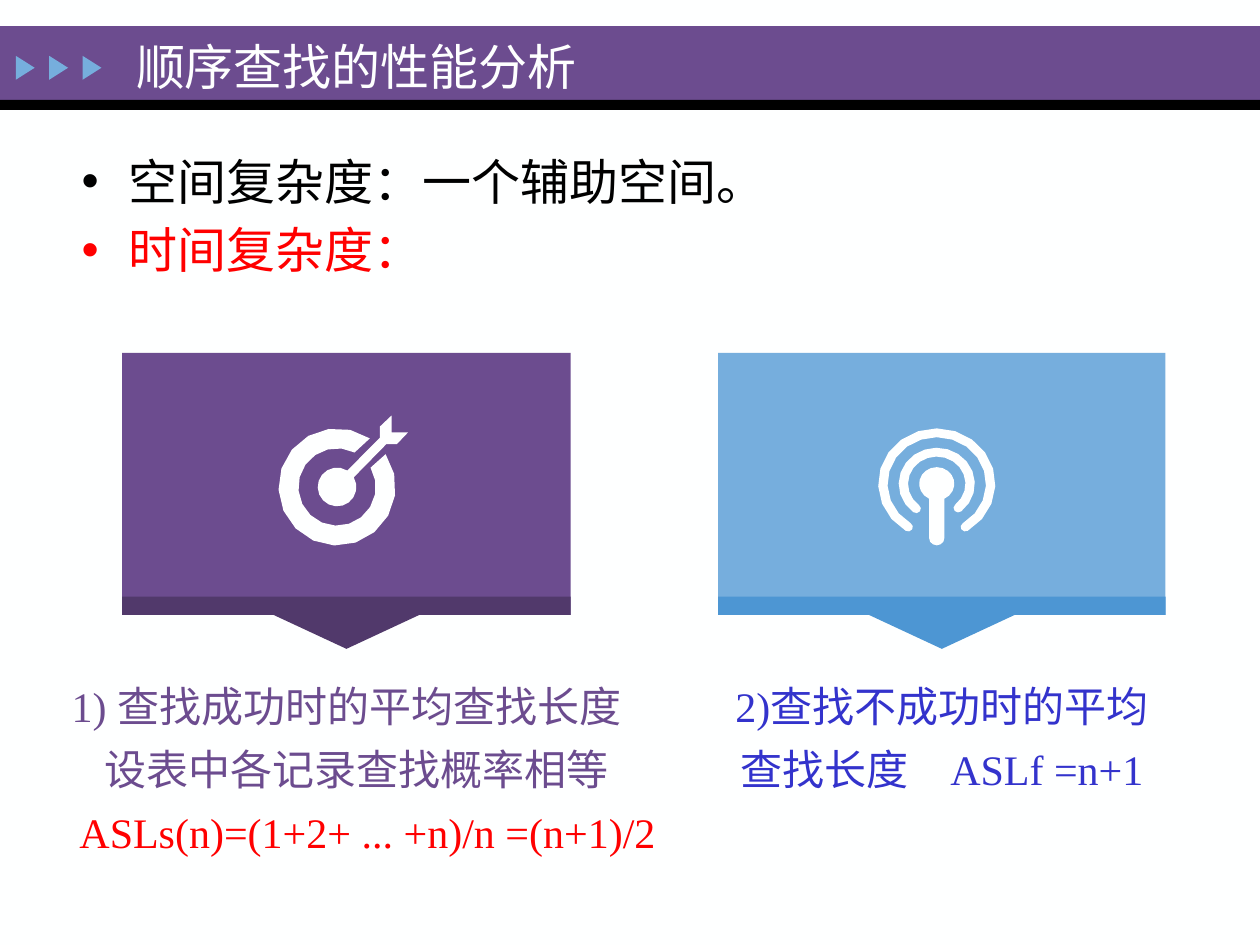
from collections import namedtuple
from math import cos, radians, sin

from lxml.etree import SubElement
from pptx import Presentation
from pptx.dml.color import RGBColor
from pptx.enum.shapes import MSO_SHAPE as SHAPE
from pptx.enum.text import MSO_ANCHOR as ANCHOR, MSO_AUTO_SIZE as FIT, PP_ALIGN as ALIGN
from pptx.oxml.ns import qn
from pptx.util import Inches, Pt


class Theme:
    font = "Times New Roman"
    head, label = 28, 24
    paper, ink, red = "FEFFFF", "000000", "FF0000"
    purple, purple_dark = "6C4C8F", "51396B"
    sky, sky_dark, blue = "76AEDD", "4D96D3", "3333CC"


# The slide is a grid of 100 columns by 75 rows
COLS, ROWS = 100, 75
FINE = 1000  # outline steps in one grid cell
Box = namedtuple("Box", "x y w h")


def cell(n):
    return Inches(n / 10)


def place(box):
    return [cell(n) for n in box]


def paint(sp, color):
    sp.shadow.inherit = False
    sp.fill.solid()
    sp.fill.fore_color.rgb = RGBColor.from_string(color)
    sp.line.fill.background()


def block(sl, kind, box, color):
    sp = sl.shapes.add_shape(kind, *place(box))
    paint(sp, color)
    return sp


def outline(sl, contours, color):
    """Draw closed contours, given in grid units, as one shape."""
    (start, *rest), *others = [[(x * FINE, y * FINE) for x, y in c] for c in contours]
    fb = sl.shapes.build_freeform(*start, scale=cell(1) / FINE)
    fb.add_line_segments(rest, close=True)
    for first, *points in others:
        fb.move_to(*first)
        fb.add_line_segments(points, close=True)
    paint(fb.convert_to_shape(), color)


def write(tf, text, *, size, color, first=False, align=ALIGN.LEFT, bullet=None,
          indent=0, hang=0, before=0, spacing=None):
    """Write one paragraph."""
    p = tf.paragraphs[0] if first else tf.add_paragraph()
    p.alignment = align
    if before and not first:
        p.space_before = Pt(before)
    if spacing:
        p.line_spacing = spacing
    pPr = p._p.get_or_add_pPr()
    if indent:
        pPr.set("marL", str(int(indent)))
        pPr.set("indent", str(-int(hang)))
    if bullet:
        SubElement(pPr, qn("a:buFont"), typeface="Arial")
        SubElement(pPr, qn("a:buChar"), char=bullet)
    r = p.add_run()
    r.text = text
    r.font.name, r.font.size = Theme.font, Pt(size)
    r.font.color.rgb = RGBColor.from_string(color)


# Icon geometry: unit circle around the origin, y pointing down
def arc(radius, start, end, cx=0, cy=0, steps=16):
    angles = [radians(start + (end - start) * i / steps) for i in range(steps + 1)]
    return [(cx + radius * cos(a), cy + radius * sin(a)) for a in angles]


def round_band(outer, inner, start, end):
    """An arc-shaped band with round ends."""
    mid, cap = (outer + inner) / 2, (outer - inner) / 2

    def tip(angle, turn):
        a = radians(angle)
        return arc(cap, angle + turn, angle + turn + 180, mid * cos(a), mid * sin(a), 4)

    return arc(outer, start, end) + tip(end, 0) + arc(inner, end, start) + tip(start, 180)


def target():
    ring = arc(1, -34, 304) + arc(0.66, 297, -30)
    dart = arc(0.33, -30, 302) + [(0.73, -0.84), (0.73, -1.03), (0.93, -1.22),
                                  (0.93, -0.93), (1.21, -0.93), (1.02, -0.73),
                                  (0.84, -0.73)]
    return [ring, dart]


def antenna():
    stem = 0.13
    mast = arc(0.3, 116, 424) + arc(stem, 0, 180, cy=0.98, steps=6)
    return [round_band(0.65, 0.49, 128, 410), mast, round_band(1, 0.84, 122, 418)]


def icon(sl, box, contours, color):
    rx, ry = box.w / 2, box.h / 2
    outline(sl, [[(box.x + rx + x * rx, box.y + ry + y * ry) for x, y in c]
                 for c in contours], color)


# Regions
def header(sl, box, title):
    band = Box(box.x, box.y, box.w, 5.85)
    for area, color in ((band, Theme.purple),
                        (Box(box.x, box.y + band.h, box.w, box.h - band.h), Theme.ink)):
        block(sl, SHAPE.RECTANGLE, area, color)
    for i in range(3):
        arrow = Box(box.x + 1.05 + 2.65 * i, box.y + 2.55, 1.9, 1.5)
        block(sl, SHAPE.ISOSCELES_TRIANGLE, arrow, Theme.sky).rotation = 90
    sp = sl.shapes.title
    sp.left, sp.top, sp.width, sp.height = place(Box(box.x + 9.8, box.y + 0.37, 48.8, 5.6))
    sl.shapes._spTree.append(sp._element)  # in front of the band
    tf = sp.text_frame
    tf.vertical_anchor = ANCHOR.MIDDLE
    write(tf, title, size=Theme.head, color=Theme.paper, first=True)


def bullets(sl, box, items):
    tf = sl.shapes.add_textbox(*place(box)).text_frame
    tf.word_wrap = True
    for i, (text, color) in enumerate(items):
        write(tf, text, size=Theme.head, color=color, first=i == 0, bullet="•",
              indent=cell(3.75), hang=cell(3.75), before=0.2 * Theme.head)


def card(sl, box, fill, dark, mark, mark_box, lines, overhang=0):
    """A card with its caption, which may reach past both sides by overhang."""
    block(sl, SHAPE.RECTANGLE, box, fill)
    # Dark foot with its pointer
    right, bottom, mid = box.x + box.w, box.y + box.h, box.x + box.w / 2
    half, drop, foot = 5.8, 2.7, bottom - 1.45
    outline(sl, [[(box.x, foot), (right, foot), (right, bottom), (mid + half, bottom),
                  (mid, bottom + drop), (mid - half, bottom), (box.x, bottom)]], dark)
    icon(sl, Box(box.x + mark_box.x, box.y + mark_box.y, mark_box.w, mark_box.h),
         mark, Theme.paper)
    # Caption
    caption = Box(box.x - overhang, bottom + 4.2, box.w + 2 * overhang, 5.5 * len(lines))
    tf = sl.shapes.add_textbox(*place(caption)).text_frame
    tf.margin_left = tf.margin_right = tf.margin_top = tf.margin_bottom = 0
    tf.word_wrap = True
    tf.auto_size = FIT.NONE
    for i, (text, color, indent) in enumerate(lines):
        write(tf, text, size=Theme.label, color=color, first=i == 0,
              align=ALIGN.CENTER, indent=Pt(indent), spacing=1.25)


def main():
    prs = Presentation()
    prs.slide_width, prs.slide_height = cell(COLS), cell(ROWS)
    sl = prs.slides.add_slide(prs.slide_layouts[5])
    sl.background.fill.solid()
    sl.background.fill.fore_color.rgb = RGBColor.from_string(Theme.paper)

    header(sl, Box(0, 2.08, COLS, 6.65), "顺序查找的性能分析")
    bullets(sl, Box(5.5, 11.5, COLS - 5.5, 12.6),
            [("空间复杂度：一个辅助空间。", Theme.ink), ("时间复杂度：", Theme.red)])
    card(sl, Box(9.7, 28, 35.6, 20.8), Theme.purple, Theme.purple_dark,
         target(), Box(12.4, 6, 9.3, 9.3),
         [("1) 查找成功时的平均查找长度", Theme.purple, 0),
          ("设表中各记录查找概率相等", Theme.purple, 12),
          ("ASLs(n)=(1+2+ ... +n)/n =(n+1)/2", Theme.red, 24)], overhang=7.5)
    card(sl, Box(57, 28, 35.5, 20.8), Theme.sky, Theme.sky_dark,
         antenna(), Box(12.7, 6, 9.3, 8.8),
         [("2)查找不成功时的平均", Theme.blue, 0),
          ("查找长度　ASLf =n+1", Theme.blue, 0)])
    prs.save("out.pptx")


if __name__ == "__main__":
    main()
